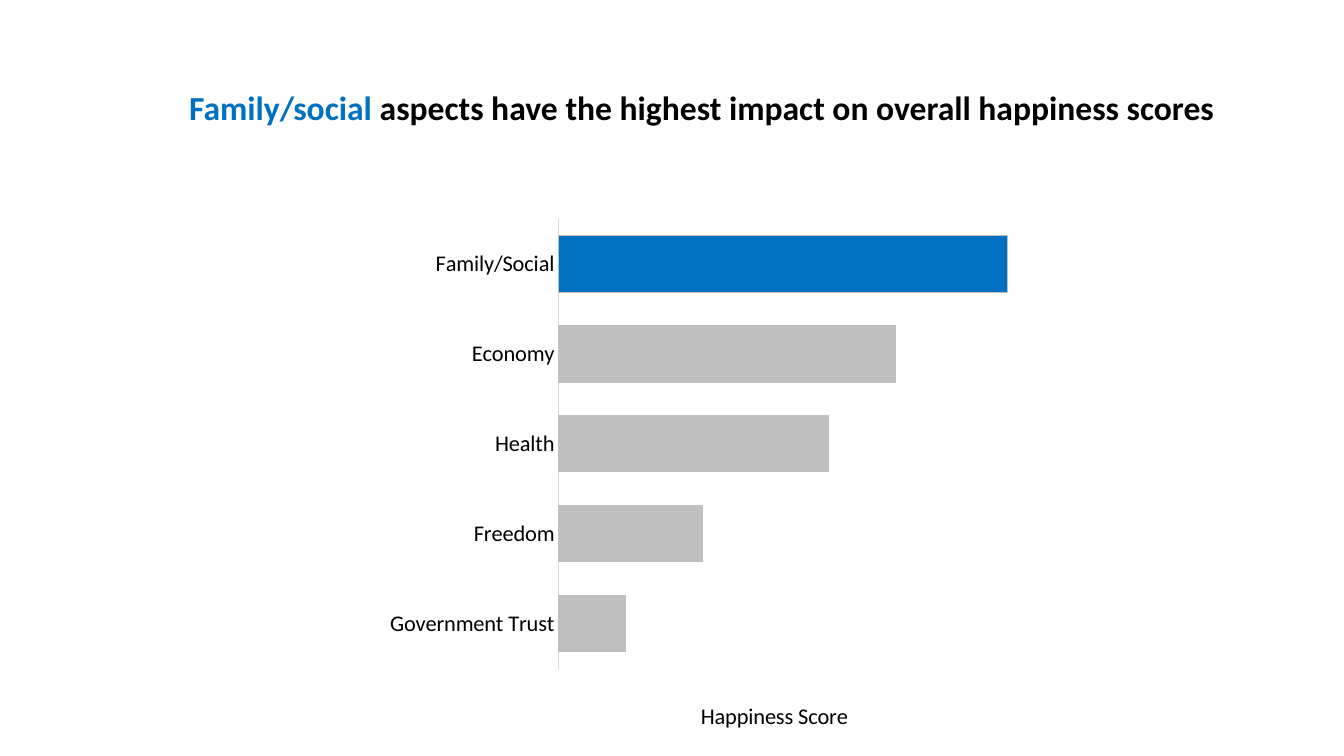
from lxml import etree
from pptx import Presentation
from pptx.chart.data import CategoryChartData
from pptx.dml.color import RGBColor
from pptx.enum.chart import XL_CHART_TYPE as ChartType, XL_TICK_LABEL_POSITION as LabelPosition, XL_TICK_MARK as TickMark
from pptx.enum.text import MSO_ANCHOR as Anchor, PP_ALIGN as Align
from pptx.oxml import parse_xml
from pptx.util import Inches, Pt

CHART_NS = "http://schemas.openxmlformats.org/drawingml/2006/chart"


def style_font(font, color, **values):
    font.color.rgb = RGBColor.from_string(color)
    for name, value in {"name": "Calibri", **values}.items():
        setattr(font, name, value)


def manual_layout(**values):
    layout = parse_xml(f'<c:layout xmlns:c="{CHART_NS}"><c:manualLayout/></c:layout>')
    for name, value in values.items():
        etree.SubElement(layout[0], f"{{{CHART_NS}}}{name}").set("val", str(value))
    return layout


prs = Presentation()
prs.slide_width, prs.slide_height = Inches(13.33), Inches(7.5)
slide = prs.slides.add_slide(prs.slide_layouts[6])

headline = slide.shapes.add_textbox(Inches(0.92), Inches(0.4), Inches(12.08), Inches(1.38)).text_frame
headline.word_wrap = True
headline.vertical_anchor = Anchor.MIDDLE
sentence = headline.paragraphs[0]
sentence.alignment = Align.CENTER
sentence.line_spacing = 0.9
for words, color in [
    ("Family/social ", "0070C0"),
    ("aspects have the highest impact on overall happiness scores", "000000"),
]:
    run = sentence.add_run()
    run.text = words
    style_font(run.font, color, size=Pt(24), bold=True)

impact = CategoryChartData()
impact.categories = ["Family/Social", "Economy", "Health", "Freedom", "Government Trust"]
impact.add_series("Series 1", [100, 75, 60, 32, 15])
chart = slide.shapes.add_chart(
    ChartType.BAR_CLUSTERED, Inches(2.48), Inches(1.78), Inches(8.69), Inches(5.7), impact
).chart
chart.has_legend = False
chart.has_title = False
style_font(chart.font, "000000", size=Pt(10))

factors = chart.category_axis
for name, value in {
    "reverse_order": True,
    "major_tick_mark": TickMark.NONE,
    "minor_tick_mark": TickMark.NONE,
    "tick_label_position": LabelPosition.NEXT_TO_AXIS,
    "has_major_gridlines": False,
}.items():
    setattr(factors, name, value)
style_font(factors.tick_labels.font, "000000", size=Pt(16))
factors.format.line.color.rgb = RGBColor.from_string("D9D9D9")
factors.format.line.width = Pt(0.75)

scores = chart.value_axis
for name, value in {
    "minimum_scale": 0,
    "maximum_scale": 116,
    "has_major_gridlines": False,
    "visible": False,
}.items():
    setattr(scores, name, value)
score_title = scores.axis_title
score_title.text_frame.text = "Happiness Score"
style_font(score_title.text_frame.paragraphs[0].runs[0].font, "000000", size=Pt(16), bold=False)
for old_layout in score_title._element.findall(f"{{{CHART_NS}}}layout"):
    score_title._element.remove(old_layout)
score_title._element.find(f"{{{CHART_NS}}}tx").addnext(
    manual_layout(xMode="edge", yMode="edge", x=0.51, y=0.9)
)

bars = chart.plots[0]
bars.gap_width = 60
bars.vary_by_categories = False
series = bars.series[0]
for bar, color in [(series, "BFBFBF"), (series.points[0], "0070C0")]:
    bar.format.fill.solid()
    bar.format.fill.fore_color.rgb = RGBColor.from_string(color)
    bar.format.line.color.rgb = RGBColor.from_string("BFBFBF")
    bar.format.line.width = Pt(0.75)

plot_area = chart._chartSpace.chart.plotArea
for old_layout in plot_area.findall(f"{{{CHART_NS}}}layout"):
    plot_area.remove(old_layout)
plot_area.insert(
    0,
    manual_layout(layoutTarget="inner", xMode="edge", yMode="edge", x=0.352, y=0.069, w=0.595, h=0.783),
)

prs.save("out.pptx")
